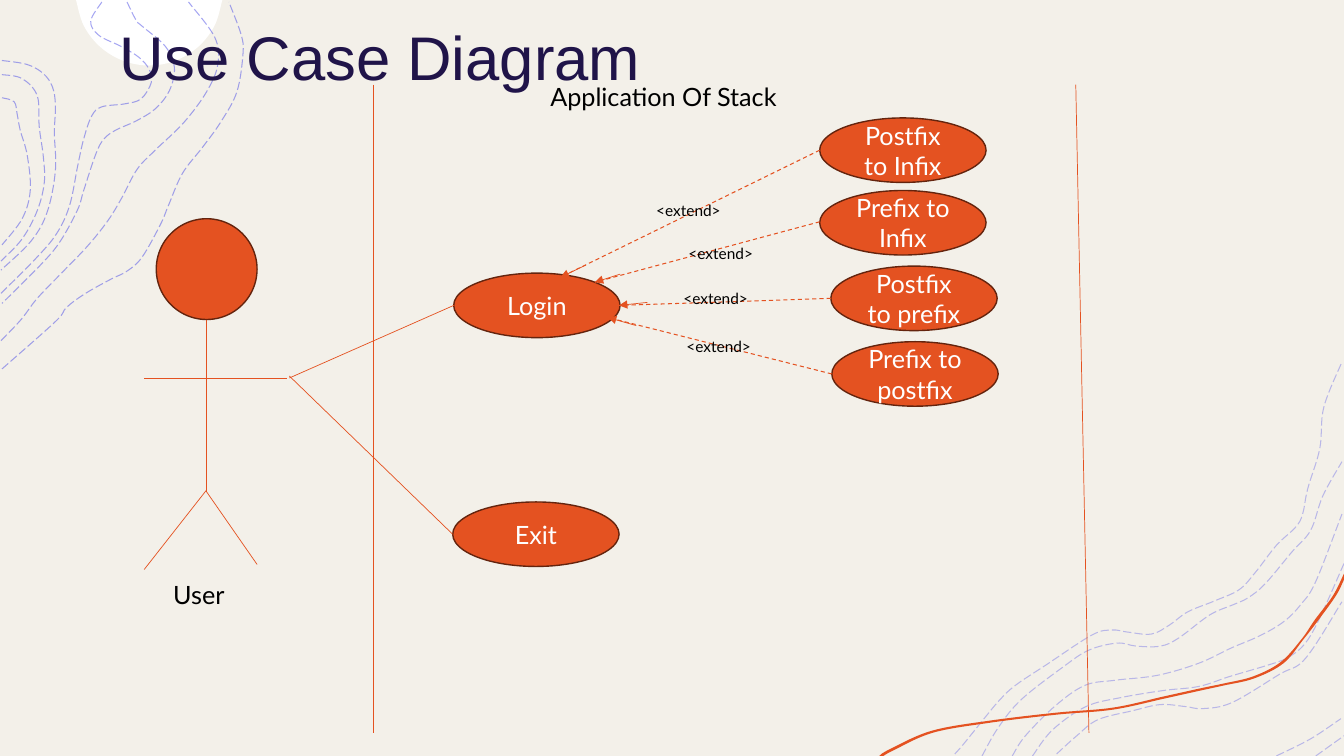
from dataclasses import dataclass
from math import asin, cos, pi, sin

from lxml.etree import SubElement
from pptx import Presentation
from pptx.dml.color import RGBColor
from pptx.enum.dml import MSO_LINE
from pptx.enum.shapes import MSO_CONNECTOR, MSO_SHAPE
from pptx.enum.text import MSO_ANCHOR, MSO_AUTO_SIZE, PP_ALIGN
from pptx.oxml.ns import qn
from pptx.util import Inches, Pt

STRAIGHT = MSO_CONNECTOR.STRAIGHT
OVAL = MSO_SHAPE.OVAL
DASH = MSO_LINE.DASH
LONG_DASH = MSO_LINE.LONG_DASH
MIDDLE = MSO_ANCHOR.MIDDLE
TOP = MSO_ANCHOR.TOP
CENTER = PP_ALIGN.CENTER
LEFT = PP_ALIGN.LEFT
GROW = MSO_AUTO_SIZE.SHAPE_TO_FIT_TEXT
COLORS = {
    "background": "F3F0E9", "white": "FFFFFF", "contour": "4D4EE6", "orange": "E45221",
    "outline": "64240E", "title": "201449", "black": "000000",
}
BUBBLE_WIDTH, BUBBLE_HEIGHT = 1.65, 0.64
DISC_X, DISC_Y, DISC_RADIUS, DISC_STEPS = 1.48, -0.08, 0.73, 8

Point = tuple[float, float]


@dataclass
class Bubble:
    text: str
    left: float
    top: float


@dataclass
class Label:
    text: str
    left: float
    top: float
    width: float
    height: float
    size: int


@dataclass
class Link:
    start: Point
    end: Point
    width: float = 0.5
    dashed: bool = False
    arrow: bool = False


LEFT_CONTOURS: list[list[Point]] = [
    [(0.02, 3.66), (0.55, 3.19), (0.66, 3.05), (0.85, 2.91), (1.1, 2.77), (1.26, 2.69),
     (1.41, 2.55), (1.59, 2.23), (1.67, 2.04), (1.81, 1.72), (2.01, 1.46), (2.19, 1.21), (2.35, 0.91),
     (2.41, 0.53), (2.39, 0.34), (2.27, 0.02)],
    [(0.01, 3.38), (0.21, 3.17), (0.37, 2.96), (0.63, 2.69), (0.87, 2.44), (1.07, 2.19), (1.21, 1.96),
     (1.36, 1.68), (1.54, 1.49), (1.82, 1.22), (2.05, 0.91), (2.16, 0.64), (2.13, 0.37), (1.87, 0.02)],
    [(1.26, 0.02), (1.35, 0.2), (1.41, 0.26), (1.64, 0.46), (1.73, 0.67), (1.68, 0.9), (1.54, 1.08),
     (1.35, 1.2), (1.15, 1.29), (1.03, 1.38), (0.95, 1.53), (0.83, 1.89), (0.77, 2.08),
     (0.6, 2.39), (0.42, 2.61), (0.02, 3.01)],
    [(0.01, 2.91), (0.35, 2.57), (0.56, 2.32), (0.69, 2.04), (0.77, 1.65), (0.83, 1.38), (0.91, 1.15),
     (1.01, 1.06), (1.24, 1.03), (1.4, 0.98), (1.5, 0.82), (1.48, 0.69), (1.38, 0.57), (1.2, 0.46),
     (0.98, 0.35), (0.9, 0.21), (1.01, 0.02)],
    [(0.02, 0.6), (0.27, 0.64), (0.43, 0.73), (0.52, 0.86), (0.55, 1.04), (0.54, 1.32), (0.55, 1.69),
     (0.47, 2.1), (0.31, 2.39), (0.01, 2.68)],
    [(0.02, 0.74), (0.22, 0.78), (0.37, 0.95), (0.39, 1.26), (0.43, 1.55), (0.44, 1.81), (0.37, 2.09),
     (0.22, 2.37), (0.01, 2.59)],
    [(0.02, 0.97), (0.14, 1.01), (0.17, 1.13), (0.2, 1.29), (0.27, 1.54), (0.3, 1.89), (0.22, 2.17),
     (0.02, 2.43)],
]
RIGHT_CONTOURS: list[list[Point]] = [
    [(9.47, 7.48), (9.55, 7.39), (9.76, 7.13), (9.91, 6.95), (10.07, 6.8), (10.37, 6.6),
     (10.83, 6.3), (11.03, 6.25), (11.18, 6.27), (11.42, 6.29), (11.6, 6.2), (11.78, 6.07), (12.05, 5.96),
     (12.29, 5.85), (12.45, 5.68), (12.66, 5.41), (12.85, 5.23), (12.92, 5.1), (12.97, 4.85),
     (13.09, 4.45), (13.13, 4.04), (13.31, 3.59)],
    [(9.74, 7.5), (9.9, 7.22), (10.13, 6.94), (10.54, 6.62), (10.8, 6.45), (11.08, 6.38),
     (11.27, 6.41), (11.51, 6.41), (11.69, 6.33), (12, 6.1), (12.23, 6), (12.38, 5.93),
     (12.55, 5.79), (12.81, 5.48), (13, 5.26), (13.12, 4.92), (13.31, 4.58)],
    [(13.05, 7.5), (13.33, 7.3)],
    [(12.66, 7.5), (13, 7.33), (13.3, 7.13)],
    [(10.48, 7.48), (10.68, 7.3), (10.89, 7.14), (11.24, 7.05), (11.51, 6.99), (11.76, 7.01),
     (11.93, 7.03), (12.22, 6.97), (12.69, 6.69), (12.95, 6.53), (13.31, 5.97)],
    [(10.24, 7.5), (10.44, 7.24), (10.77, 7.01), (11.12, 6.92), (11.54, 6.85), (11.89, 6.81),
     (12.2, 6.71), (12.57, 6.6), (12.76, 6.53), (12.93, 6.4), (13.08, 6.15), (13.33, 5.59)],
    [(10.04, 7.5), (10.17, 7.3), (10.47, 7), (10.76, 6.8), (11.05, 6.75), (11.48, 6.7), (11.89, 6.58),
     (12.21, 6.43), (12.49, 6.31), (12.73, 6.17), (12.9, 6), (13.05, 5.77), (13.31, 5.1)],
]
RIBBON: list[Point] = [
    (13.33, 5.75), (13.25, 5.91), (13.07, 6.16), (12.93, 6.34), (12.73, 6.58), (12.44, 6.73), (12.14, 6.8),
    (11.91, 6.85), (11.55, 6.93), (11.04, 7.04), (10.48, 7.09), (9.82, 7.17), (9.25, 7.27),
    (8.85, 7.45), (8.76, 7.5), (8.72, 7.5), (8.83, 7.43), (9.24, 7.25), (9.81, 7.15), (10.48, 7.07),
    (11.04, 7.02), (11.54, 6.91), (11.9, 6.83), (12.14, 6.78), (12.43, 6.71), (12.7, 6.57), (12.91, 6.34),
    (13.04, 6.15), (13.22, 5.91), (13.33, 5.69)]
BUBBLES = [
    Bubble("Login", 4.5, 2.71), Bubble("Prefix to postfix", 8.25, 3.39), Bubble("Postfix to prefix", 8.24, 2.64),
    Bubble("Prefix to Infix", 8.13, 1.89), Bubble("Postfix to Infix", 8.13, 1.17), Bubble("Exit", 4.49, 4.98),
]
LINKS = [
    Link((2.05, 3.17), (2.05, 4.88)), Link((1.43, 3.75), (2.85, 3.75)),
    Link((2.05, 4.86), (1.43, 5.65)), Link((2.05, 4.88), (2.55, 5.6)),
    Link((3.7, 0.84), (3.7, 7.27)), Link((10.67, 0.84), (10.8, 7.27)),
    Link((2.87, 3.75), (4.5, 3.03)), Link((2.87, 3.73), (4.49, 5.3)),
]
EXTENSIONS: list[tuple[Point, Point, Point]] = [
    ((8.13, 1.49), (5.81, 2.63), (5.56, 2.75)), ((8.24, 2.96), (6.42, 3), (6.14, 3.03)),
    ((8.13, 2.2), (6.15, 2.72), (5.9, 2.8)), ((8.25, 3.71), (6.31, 3.23), (6.03, 3.15)),
]
for origin, stub, tip in EXTENSIONS:
    LINKS += [Link(origin, tip, width=0.75, dashed=True), Link(stub, tip, arrow=True)]
LABELS = [Label("Application Of Stack", 5.36, 0.76, 2.56, 0.4, 18), Label("User", 1.62, 5.7, 0.73, 0.4, 18)]
LABELS += [Label("<extend>", left, top, 0.9, 0.59, 11)
           for left, top in [(6.41, 1.95), (6.71, 3.3), (6.68, 2.82), (6.73, 2.37)]]


def color(name: str) -> RGBColor:
    return RGBColor.from_string(COLORS[name])


def add_curve(slide, anchors: list[Point], closed: bool):
    corners = [(Inches(x), Inches(y)) for x, y in anchors]
    builder = slide.shapes.build_freeform(*corners[0])
    builder.add_line_segments(corners[1:], close=closed)
    shape = builder.convert_to_shape()
    shape.shadow.inherit = False
    nodes = list(shape.element.iter(qn("a:pt")))
    points = [(int(node.get("x")), int(node.get("y"))) for node in nodes]
    padded = [points[0], *points, points[-1]]
    for node, a, b, c, d in zip(nodes[1:], padded, padded[1:], padded[2:], padded[3:]):
        segment = node.getparent()
        segment.tag = qn("a:cubicBezTo")
        for base, before, after in ((b, a, c), (c, d, b)):
            x, y = (round(p + (r - q) / 6) for p, q, r in zip(base, before, after))
            SubElement(segment, qn("a:pt"), x=str(x), y=str(y))
        segment.append(node)
    return shape


def add_area(slide, anchors: list[Point], fill: str) -> None:
    shape = add_curve(slide, anchors, True)
    shape.fill.solid()
    shape.fill.fore_color.rgb = color(fill)
    shape.line.fill.background()


def add_contour(slide, anchors: list[Point], opacity: int) -> None:
    shape = add_curve(slide, anchors, False)
    shape.fill.background()
    shape.line.color.rgb = color("contour")
    shape.line.width = Pt(0.75)
    shape.line.dash_style = LONG_DASH
    line_color = shape.element.spPr.find(f"{qn('a:ln')}//{qn('a:srgbClr')}")
    SubElement(line_color, qn("a:alpha"), val=str(opacity * 1000))


def write(shape, text: str, *, size: int, fill: str, font: str = "Lato", align=LEFT, anchor=TOP) -> None:
    frame = shape.text_frame
    frame.vertical_anchor = anchor
    paragraph = frame.paragraphs[0]
    paragraph.alignment = align
    run = paragraph.add_run()
    run.text = text
    run.font.name = font
    run.font.size = Pt(size)
    run.font.color.rgb = color(fill)


def add_oval(slide, left: float, top: float, width: float, height: float):
    shape = slide.shapes.add_shape(OVAL, Inches(left), Inches(top), Inches(width), Inches(height))
    shape.shadow.inherit = False
    shape.fill.solid()
    shape.fill.fore_color.rgb = color("orange")
    shape.line.color.rgb = color("outline")
    shape.line.width = Pt(1)
    return shape


def add_link(slide, link: Link) -> None:
    ends = [Inches(value) for value in (*link.start, *link.end)]
    connector = slide.shapes.add_connector(STRAIGHT, *ends)
    connector.line.color.rgb = color("orange")
    connector.line.width = Pt(link.width)
    if link.dashed:
        connector.line.dash_style = DASH
    properties = connector.element.spPr
    if link.arrow:
        SubElement(properties.find(qn("a:ln")), qn("a:tailEnd"), type="triangle")
    SubElement(properties, qn("a:effectLst"))


def add_label(slide, label: Label) -> None:
    box = slide.shapes.add_textbox(Inches(label.left), Inches(label.top), Inches(label.width), Inches(label.height))
    box.text_frame.word_wrap = False
    box.text_frame.auto_size = GROW
    write(box, label.text, size=label.size, fill="black")


def main() -> None:
    presentation = Presentation()
    presentation.slide_width, presentation.slide_height = Inches(13.33), Inches(7.5)
    slide = presentation.slides.add_slide(presentation.slide_layouts[5])
    slide.background.fill.solid()
    slide.background.fill.fore_color.rgb = color("background")

    edge = asin(-DISC_Y / DISC_RADIUS)
    angles = [edge + (pi - 2 * edge) * step / DISC_STEPS for step in range(DISC_STEPS + 1)]
    add_area(slide, [(DISC_X + DISC_RADIUS * cos(a), DISC_Y + DISC_RADIUS * sin(a)) for a in angles], "white")
    for contours, opacity in ((LEFT_CONTOURS, 50), (RIGHT_CONTOURS, 35)):
        for anchors in contours:
            add_contour(slide, anchors, opacity)
    add_area(slide, RIBBON, "orange")

    title = slide.shapes.title
    title.left, title.top, title.width, title.height = Inches(1.09), Inches(0.08), Inches(10.92), Inches(1.09)
    title.text_frame.margin_top = Inches(0.11)
    write(title, "Use Case Diagram", size=44, fill="title", font="Arial")
    slide.shapes.element.append(title.element)

    add_oval(slide, 1.55, 2.17, 1, 1)
    for bubble in BUBBLES:
        shape = add_oval(slide, bubble.left, bubble.top, BUBBLE_WIDTH, BUBBLE_HEIGHT)
        write(shape, bubble.text, size=18, fill="white", align=CENTER, anchor=MIDDLE)
    for link in LINKS:
        add_link(slide, link)
    for label in LABELS:
        add_label(slide, label)
    presentation.save("out.pptx")


if __name__ == "__main__":
    main()
